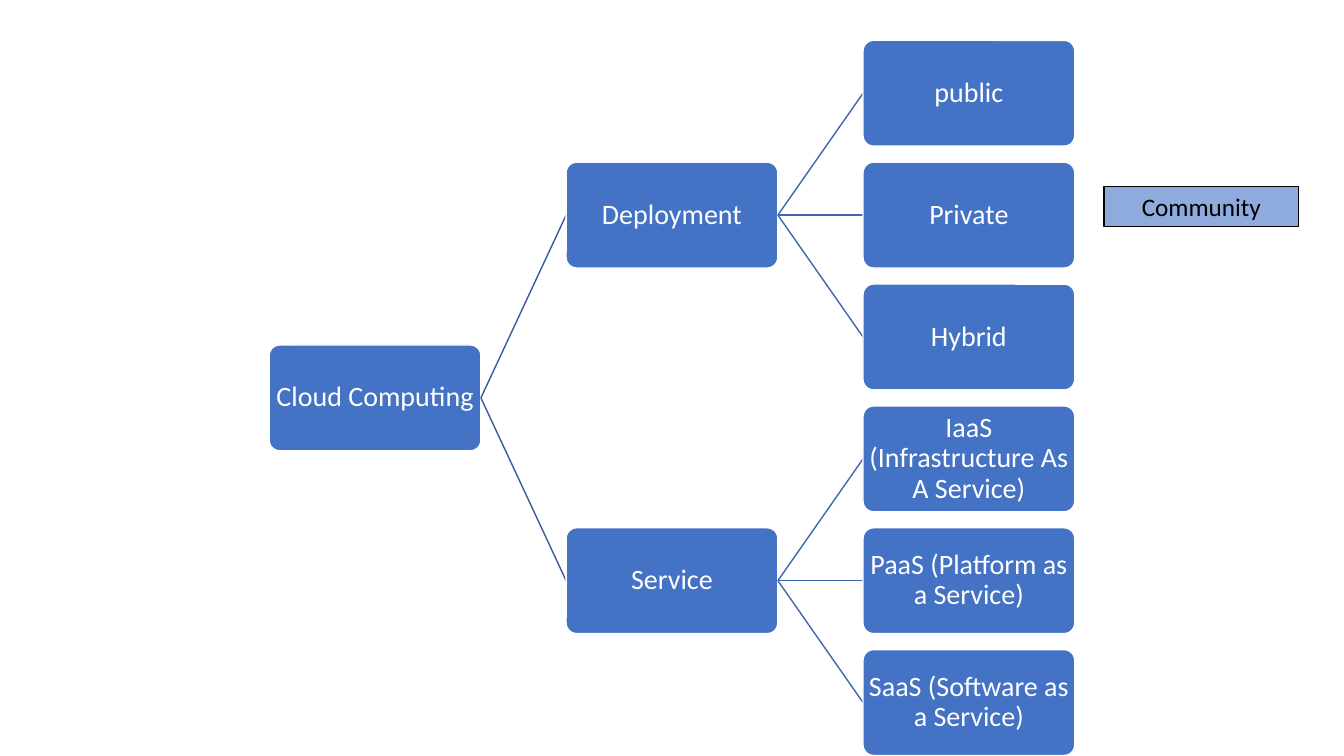
import pptx
import pptx.dml.color
import pptx.enum.shapes
import pptx.enum.text
import pptx.oxml.ns
import pptx.util
from lxml import etree

Inches = pptx.util.Inches
Pt = pptx.util.Pt
SHAPES = pptx.enum.shapes.MSO_SHAPE

COLORS = {
    "node": "4472C4",
    "node_text": "FFFFFF",
    "node_border": "FFFFFF",
    "extra": "8FAADC",
    "extra_text": "000000",
    "extra_border": "000000",
}
# Branch colour by the column it starts from
BRANCH_COLORS = ["365B9D", "3E67B2"]
FONT = "Calibri"

# Grid of the tree, in inches
LEFT, TOP = 2.67, 0.4
COLUMN_STEP, ROW_STEP = 2.945, 1.209
NODE_WIDTH, NODE_HEIGHT = 2.1, 1.05

# Each node: label, row, children
TREE = ("Cloud Computing", 2.5, [
    ("Deployment", 1, [
        ("public", 0, []),
        ("Private", 1, []),
        ("Hybrid", 2, []),
    ]),
    ("Service", 4, [
        ("IaaS (Infrastructure As A Service)", 3, []),
        ("PaaS (Platform as a Service)", 4, []),
        ("SaaS (Software as a Service)", 5, []),
    ]),
])


def rgb(hex_code):
    return pptx.dml.color.RGBColor.from_string(hex_code)


def add_box(slide, kind, area, label, role, size, border):
    """Add a filled, outlined shape with a centred label."""
    box = slide.shapes.add_shape(kind, *(Inches(length) for length in area))
    box.shadow.inherit = False
    box.fill.solid()
    box.fill.fore_color.rgb = rgb(COLORS[role])
    box.line.color.rgb = rgb(COLORS[role + "_border"])
    box.line.width = Pt(border)
    frame = box.text_frame
    frame.text = label
    frame.word_wrap = True
    frame.vertical_anchor = pptx.enum.text.MSO_ANCHOR.MIDDLE
    paragraph = frame.paragraphs[0]
    paragraph.alignment = pptx.enum.text.PP_ALIGN.CENTER
    font = paragraph.runs[0].font
    font.name = FONT
    font.size = Pt(size)
    font.color.rgb = rgb(COLORS[role + "_text"])
    return box


def add_node(slide, label, column, row):
    area = (LEFT + column * COLUMN_STEP, TOP + row * ROW_STEP,
            NODE_WIDTH, NODE_HEIGHT)
    node = add_box(slide, SHAPES.ROUNDED_RECTANGLE, area, label, "node", 20, 1)
    node.adjustments[0] = 0.1
    frame = node.text_frame
    frame.margin_left = frame.margin_right = Inches(0.01)
    frame.margin_top = frame.margin_bottom = Inches(0.01)
    frame.paragraphs[0].line_spacing = 0.9


def add_branch(slide, column, parent_row, child_row):
    """Join a node's right edge to the left edge of its child."""
    start_x = LEFT + column * COLUMN_STEP + NODE_WIDTH
    end_x = LEFT + (column + 1) * COLUMN_STEP
    start_y, end_y = (TOP + row * ROW_STEP + NODE_HEIGHT / 2
                      for row in (parent_row, child_row))
    branch = slide.shapes.add_connector(
        pptx.enum.shapes.MSO_CONNECTOR.STRAIGHT,
        Inches(start_x), Inches(start_y), Inches(end_x), Inches(end_y))
    branch.line.color.rgb = rgb(BRANCH_COLORS[column])
    branch.line.width = Pt(1)
    etree.SubElement(branch._element.spPr, pptx.oxml.ns.qn("a:effectLst"))


def add_tree(slide, tree, column=0):
    label, row, children = tree
    add_node(slide, label, column, row)
    for child in children:
        add_branch(slide, column, row, child[1])
        add_tree(slide, child, column + 1)


def main():
    deck = pptx.Presentation()
    deck.slide_width = Inches(13.33)
    deck.slide_height = Inches(7.5)
    slide = deck.slides.add_slide(deck.slide_layouts[6])

    # Tree of cloud models
    add_tree(slide, TREE)

    # Extra deployment model beside the tree
    add_box(slide, SHAPES.RECTANGLE, (10.95, 1.85, 1.93, 0.4),
            "Community", "extra", 18, 0.75)

    deck.save("out.pptx")


if __name__ == "__main__":
    main()
